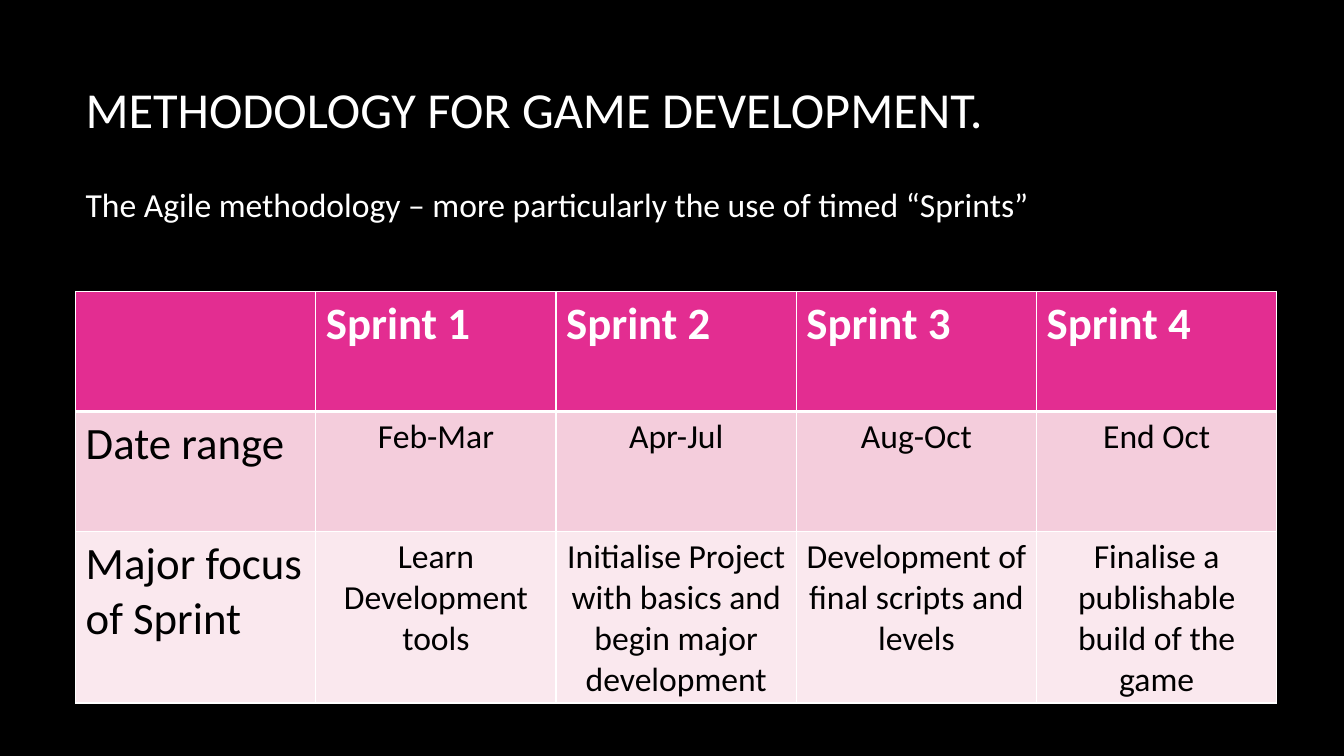
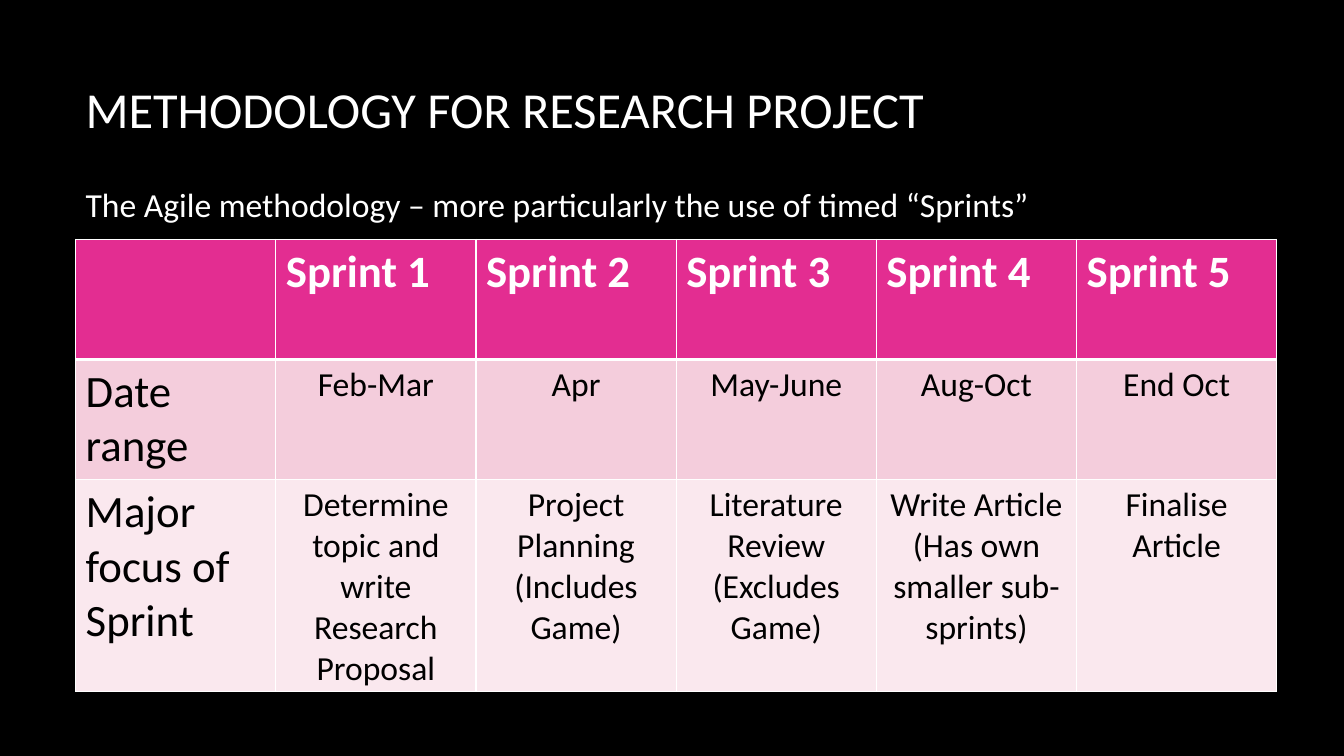
"""Build two slides that plan the sprints of a game and of a research project."""
import pptx
import pptx.dml.color
import pptx.enum.text
import pptx.oxml
import pptx.oxml.ns
import pptx.util

COLOURS = {
    "background": "000000",
    "light": "FFFFFF",
    "dark": "000000",
    "header": "E32D91",
    "dates": "F4CDDC",
    "focus": "FAE8EE",
}
FONT = "Calibri"
GRID_COLUMNS, GRID_ROWS = 160, 90
LEFT = 9
TEXT_WIDTH, TABLE_WIDTH = 133, 143
SHORT_ROW = 14.3
SUBTITLE = "The Agile methodology – more particularly the use of timed “Sprints”"
ALIGN = pptx.enum.text.PP_ALIGN
ANCHOR = pptx.enum.text.MSO_ANCHOR


def colour(name):
    return pptx.dml.color.RGBColor.from_string(COLOURS[name])


class SprintDeck:
    """Hold the shared style, the deck and the current page."""

    def __init__(self):
        self.deck = pptx.Presentation()
        self.deck.slide_width = pptx.util.Inches(13.33)
        self.deck.slide_height = pptx.util.Inches(7.5)
        self.page = None

    def across(self, columns):
        return round(self.deck.slide_width * columns / GRID_COLUMNS)

    def down(self, rows):
        return round(self.deck.slide_height * rows / GRID_ROWS)

    def add_page(self):
        self.page = self.deck.slides.add_slide(self.deck.slide_layouts[6])
        fill = self.page.background.fill
        fill.solid()
        fill.fore_color.rgb = colour("background")

    def style(self, frame, size, ink, bold=False, align=ALIGN.LEFT):
        for para in frame.paragraphs:
            para.alignment = align
            para.font.name = FONT
            para.font.size = pptx.util.Pt(size)
            para.font.bold = bold
            para.font.color.rgb = colour(ink)

    def text(self, words, top, height, size, anchor):
        box = self.page.shapes.add_textbox(
            self.across(LEFT), self.down(top), self.across(TEXT_WIDTH), self.down(height))
        frame = box.text_frame
        frame.word_wrap = True
        frame.vertical_anchor = anchor
        frame.margin_top = frame.margin_bottom = 0
        frame.text = words
        self.style(frame, size, "light")

    def borders(self, cell, top, bottom):
        properties = cell._tc.get_or_add_tcPr()
        for side, points in {"L": 1, "R": 1, "T": top, "B": bottom}.items():
            properties.append(pptx.oxml.parse_xml(
                f'<a:ln{side} {pptx.oxml.ns.nsdecls("a")} w="{pptx.util.Pt(points)}">'
                f'<a:solidFill><a:srgbClr val="{COLOURS["light"]}"/></a:solidFill>'
                f'</a:ln{side}>'))

    def table(self, sprints, top, focus_height):
        labels = ("", "Date range", "Major focus of Sprint")
        headings = [f"Sprint {number}" for number in range(1, len(sprints) + 1)]
        grid = [(label, *words) for label, words in zip(labels, (headings, *zip(*sprints)))]
        heights = (SHORT_ROW, SHORT_ROW, focus_height)
        count = len(grid[0])
        table = self.page.shapes.add_table(
            len(grid), count, self.across(LEFT), self.down(top),
            self.across(TABLE_WIDTH), self.down(sum(heights))).table
        for column in table.columns:
            column.width = self.across(TABLE_WIDTH / count)
        for row, (words, height) in enumerate(zip(grid, heights)):
            table.rows[row].height = self.down(height)
            for column, word in enumerate(words):
                self.cell(table.cell(row, column), word, row, column)

    def cell(self, cell, words, row, column):
        self.borders(cell, top=3 if row == 1 else 1, bottom=3 if row == 0 else 1)
        cell.fill.solid()
        cell.fill.fore_color.rgb = colour(("header", "dates", "focus")[row])
        cell.text = words
        if row == 0:
            self.style(cell.text_frame, 32, "light", bold=True)
        elif column == 0:
            self.style(cell.text_frame, 32, "dark")
        else:
            self.style(cell.text_frame, 24, "dark", align=ALIGN.CENTER)

    def methodology(self, title, sprints, table_top, focus_height):
        self.add_page()
        self.text(title, 3.4, 19, 36, ANCHOR.MIDDLE)
        self.text(SUBTITLE, 21.9, 10, 24, ANCHOR.TOP)
        self.table(sprints, table_top, focus_height)


GAME = [
    ("Feb-Mar", "Learn Development tools"),
    ("Apr-Jul", "Initialise Project with basics and begin major development"),
    ("Aug-Oct", "Development of final scripts and levels"),
    ("End Oct", "Finalise a publishable build of the game"),
]
RESEARCH = [
    ("Feb-Mar", "Determine topic and write Research Proposal"),
    ("Apr", "Project Planning\n(Includes Game)"),
    ("May-June", "Literature Review\n(Excludes Game)"),
    ("Aug-Oct", "Write Article\n(Has own smaller sub-sprints)"),
    ("End Oct", "Finalise Article"),
]

show = SprintDeck()
show.methodology("METHODOLOGY FOR GAME DEVELOPMENT.", GAME, 34.7, 20.4)
show.methodology("METHODOLOGY FOR RESEARCH PROJECT", RESEARCH, 28.5, 25.2)
show.deck.save("out.pptx")
